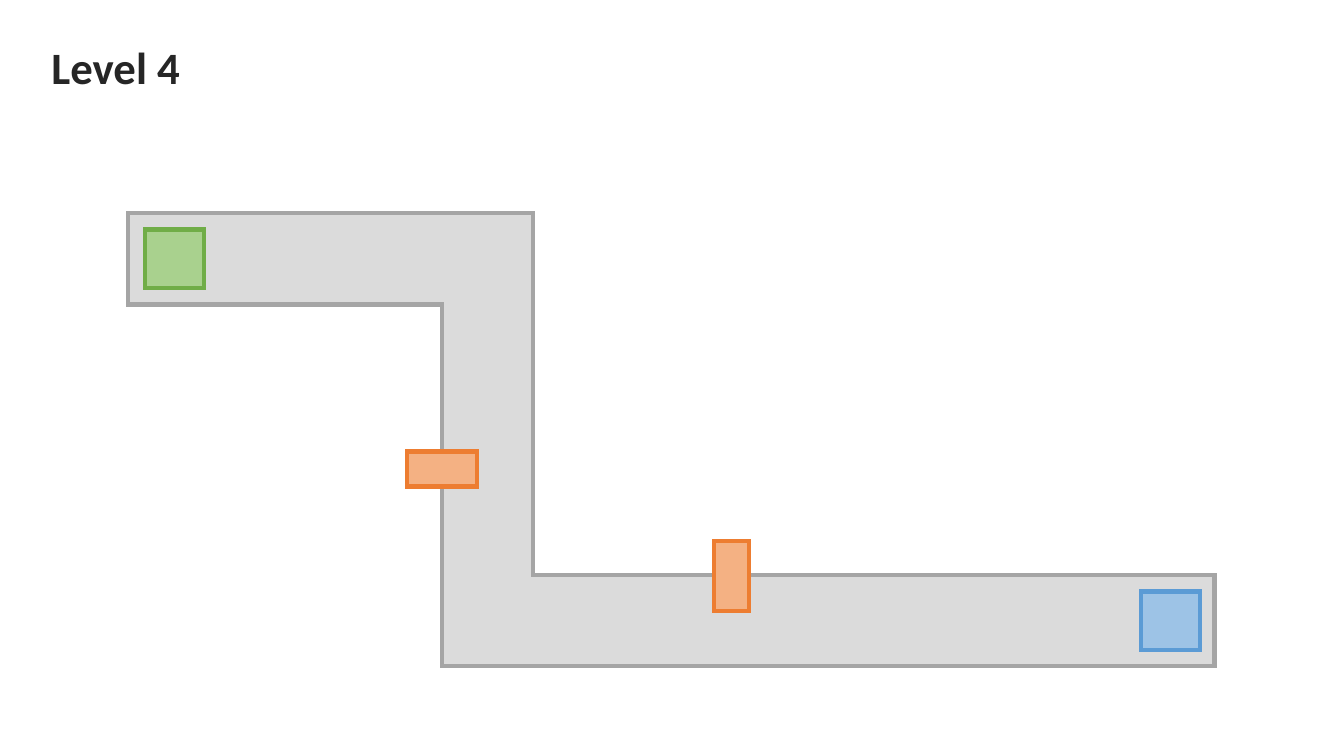
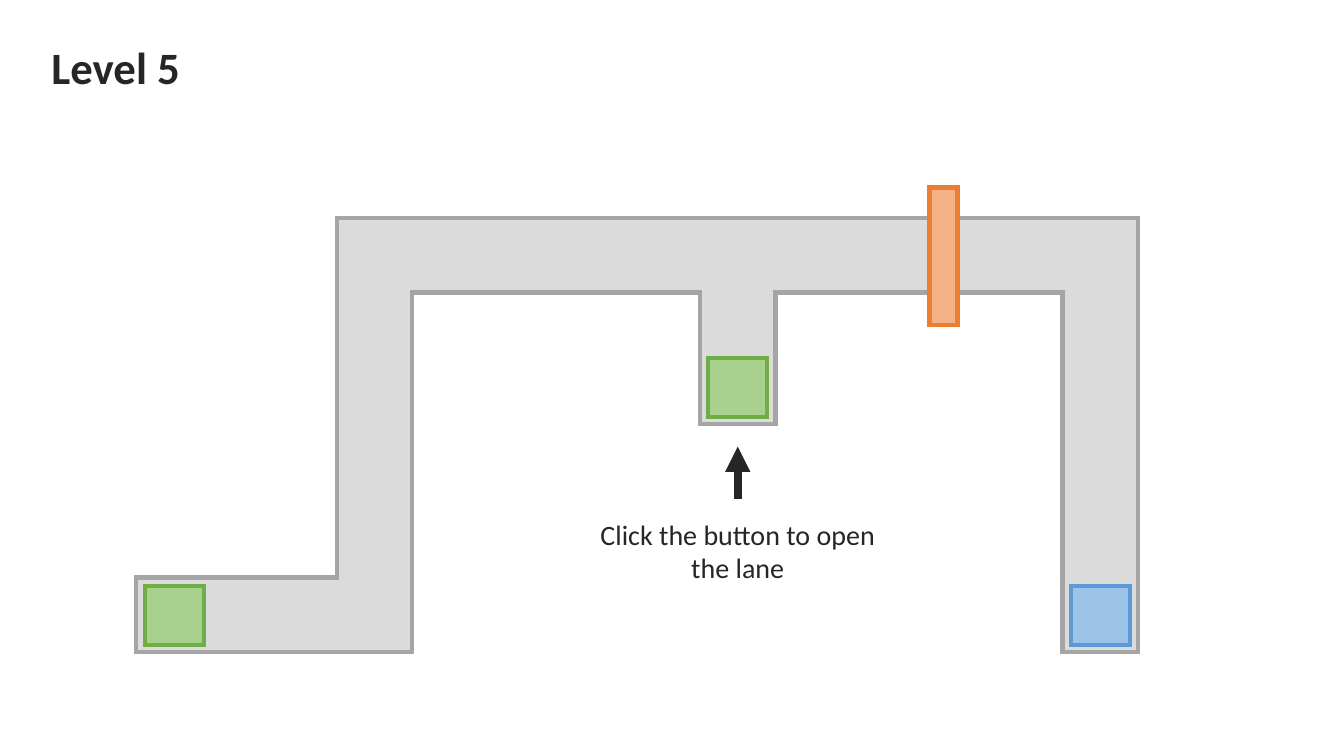
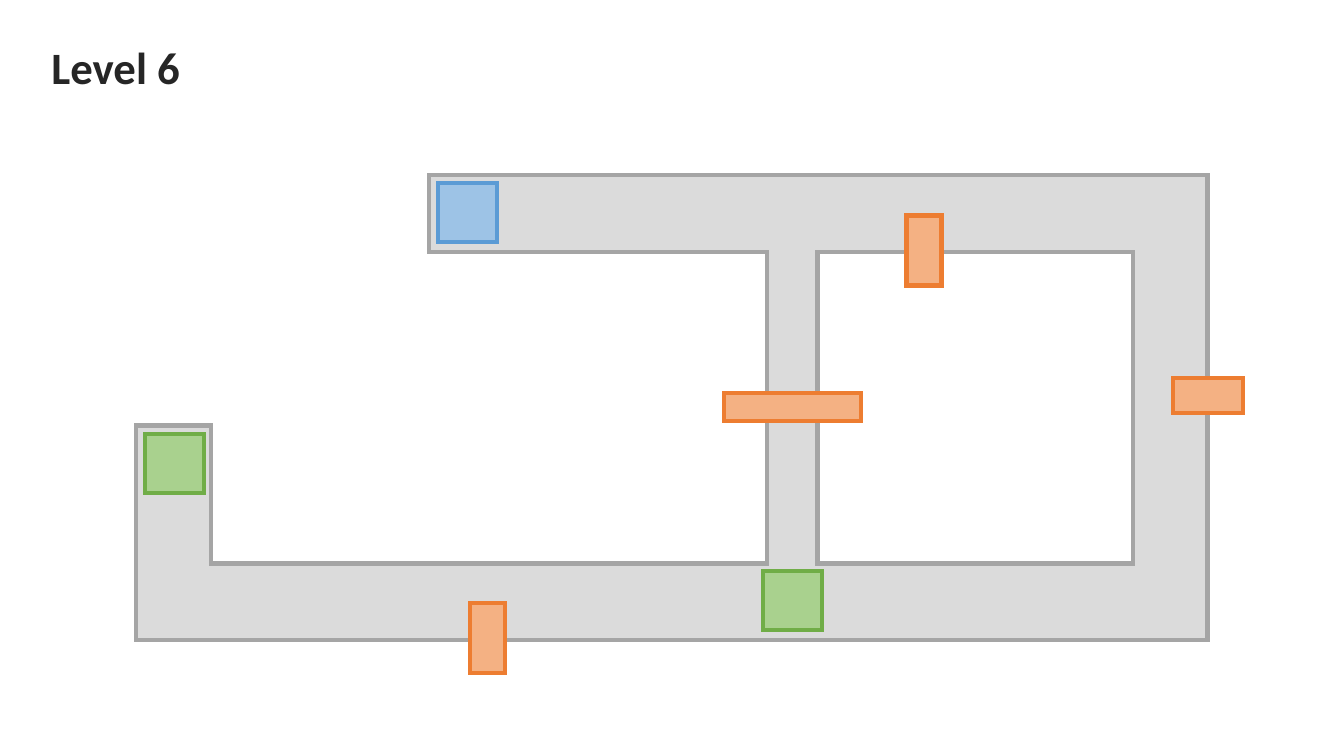
from dataclasses import dataclass

from lxml.etree import SubElement
from pptx import Presentation
from pptx.dml.color import RGBColor as RGB
from pptx.enum.shapes import MSO_CONNECTOR as CONNECTOR, MSO_SHAPE as SHAPE
from pptx.enum.text import MSO_ANCHOR as ANCHOR, MSO_AUTO_SIZE as AUTO, PP_ALIGN as ALIGN
from pptx.oxml.ns import qn
from pptx.util import Pt


@dataclass(frozen=True)
class Theme:
    font: str = "Calibri"
    title_size: int = 32
    hint_size: int = 20
    ink: str = "262626"
    # Fill and line of each kind of piece
    lane: tuple = ("DBDBDB", "A5A5A5")
    button: tuple = ("A9D18E", "70AD47")
    goal: tuple = ("9DC3E6", "5B9BD5")
    gate: tuple = ("F4B183", "ED7D31")
    outline: int = 3
    arrow: int = 6


THEME = Theme()
SQUARE = (42, 42)
SHORT_GATE = (25, 50)
LONG_GATE = (20, 98)


# Text
def write(tf, lines, size, align, bold=False):
    tf.word_wrap = False
    tf.auto_size = AUTO.NONE
    tf.vertical_anchor = ANCHOR.TOP
    tf.text = "\n".join(lines)
    for p in tf.paragraphs:
        p.alignment = align
        p.font.name = THEME.font
        p.font.size = Pt(size)
        p.font.bold = bold
        p.font.color.rgb = RGB.from_string(THEME.ink)


def add_level(prs, number):
    s = prs.slides.add_slide(prs.slide_layouts.get_by_name("Title Only"))
    title = s.shapes.title
    title.left, title.top, title.width, title.height = Pt(29.5), Pt(24.5), Pt(120), Pt(46)
    write(title.text_frame, [f"Level {number}"], THEME.title_size, ALIGN.LEFT, bold=True)
    return s


def add_hint(s, cx, top, lines):
    width = 232
    sp = s.shapes.add_textbox(Pt(cx - width / 2), Pt(top), Pt(width), Pt(56))
    write(sp.text_frame, lines, THEME.hint_size, ALIGN.CENTER)


# Pieces of the game
def paint(sp, colors):
    fill, line = colors
    sp.shadow.inherit = False
    sp.fill.solid()
    sp.fill.fore_color.rgb = RGB.from_string(fill)
    sp.line.color.rgb = RGB.from_string(line)
    sp.line.width = Pt(THEME.outline)
    SubElement(sp.line._get_or_add_ln(), qn("a:miter"), lim="800000")


def corners(x, y, *turns):
    """Corners of a right-angled outline: turns are the next x, y, x, ..."""
    points = [(x, y)]
    for i, turn in enumerate(turns):
        x, y = (x, turn) if i % 2 else (turn, y)
        points.append((x, y))
    return [(Pt(px), Pt(py)) for px, py in points]


def add_lane(s, outer, *holes):
    start, *rest = corners(*outer)
    builder = s.shapes.build_freeform(*start)
    builder.add_line_segments(rest, close=True)
    for hole in holes:
        start, *rest = corners(*hole)
        builder.move_to(*start)
        builder.add_line_segments(rest, close=True)
    paint(builder.convert_to_shape(), THEME.lane)


def add_block(s, cx, cy, size, colors):
    w, h = size
    sp = s.shapes.add_shape(SHAPE.RECTANGLE, Pt(cx - w / 2), Pt(cy - h / 2), Pt(w), Pt(h))
    paint(sp, colors)


def add_button(s, cx, cy):
    add_block(s, cx, cy, SQUARE, THEME.button)


def add_goal(s, cx, cy):
    add_block(s, cx, cy, SQUARE, THEME.goal)


def add_gate(s, cx, cy, size=SHORT_GATE, flat=False):
    add_block(s, cx, cy, size[::-1] if flat else size, THEME.gate)


def add_up_arrow(s, x, bottom, top):
    line = s.shapes.add_connector(CONNECTOR.STRAIGHT, Pt(x), Pt(bottom), Pt(x), Pt(top))
    line.line.color.rgb = RGB.from_string(THEME.ink)
    line.line.width = Pt(THEME.arrow)
    SubElement(line.line._get_or_add_ln(), qn("a:tailEnd"), type="triangle")
    SubElement(line._element.spPr, qn("a:effectLst"))


# Levels
def level_4(prs):
    s = add_level(prs, 4)
    add_lane(s, (91.5, 152, 381, 410.5, 867.5, 476, 315.5, 217.5, 91.5))
    add_button(s, 124.5, 185)
    add_goal(s, 836, 443.5)
    add_gate(s, 315.5, 335, flat=True)
    add_gate(s, 522.5, 411.5)


def level_5(prs):
    s = add_level(prs, 5)
    middle = 527
    add_up_arrow(s, middle, 356.5, 319)
    add_hint(s, middle, 366, ["Click the button to open", "the lane"])
    add_lane(s, (240.5, 155.5, 813, 466, 759, 209, 554, 303, 500, 209,
                 294.5, 466, 97, 412.5, 240.5))
    add_button(s, 124.5, 439.5)
    add_goal(s, 786, 439.5)
    add_gate(s, 674, 183, LONG_GATE)
    add_button(s, middle, 277)


def level_6(prs):
    s = add_level(prs, 6)
    add_lane(s, (306.5, 125, 862.5, 457, 97, 304, 151, 402.5, 548, 180, 306.5),
             (809.5, 180, 584, 402.5, 809.5))
    add_button(s, 124.5, 331)
    add_goal(s, 334, 152)
    add_gate(s, 348, 456)
    add_gate(s, 863, 282.5, flat=True)
    add_gate(s, 660, 179)
    add_gate(s, 566, 291, LONG_GATE, flat=True)
    add_button(s, 566, 429)


def main():
    prs = Presentation()
    prs.slide_width, prs.slide_height = Pt(960), Pt(540)
    for level in (level_4, level_5, level_6):
        level(prs)
    prs.save("out.pptx")


if __name__ == "__main__":
    main()
